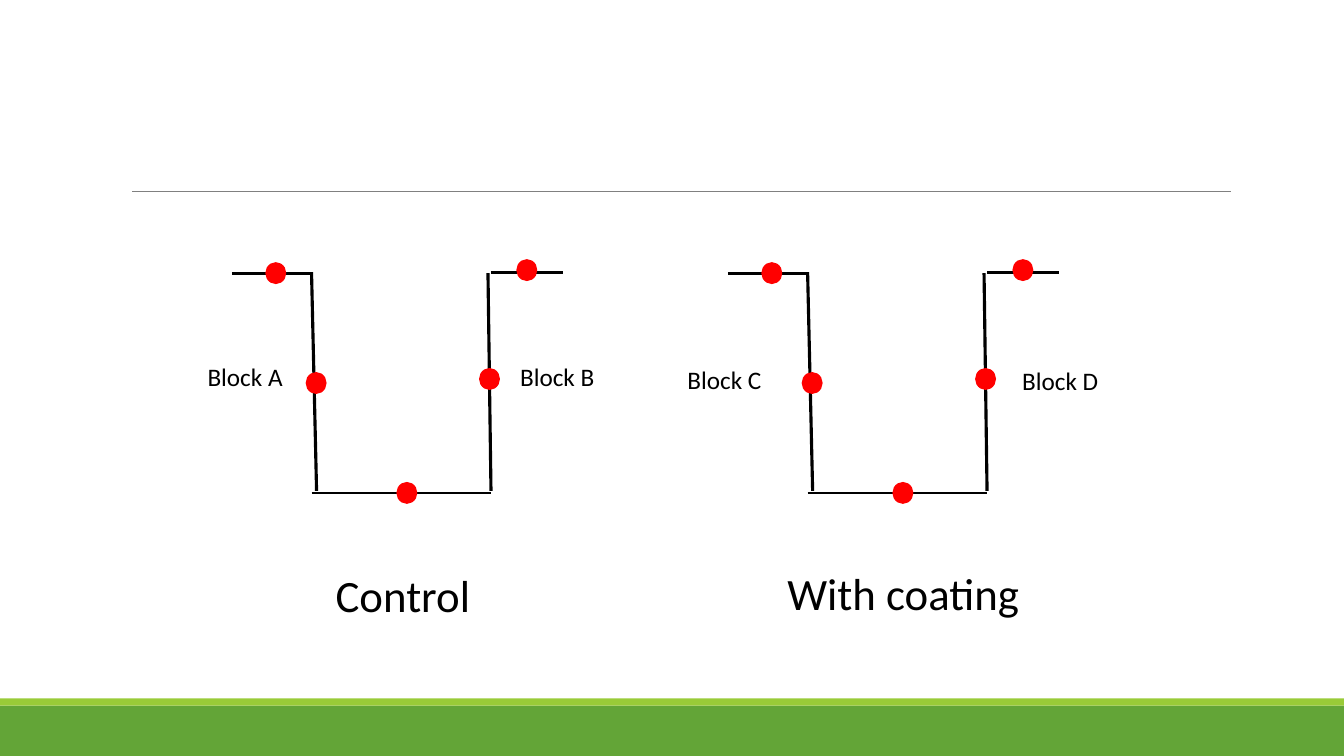
import pptx
import pptx.dml.color
import pptx.enum.shapes
import pptx.enum.text
import pptx.oxml.ns
import pptx.util
from lxml import etree

RGBColor = pptx.dml.color.RGBColor
Inches = pptx.util.Inches
SHAPES = pptx.enum.shapes.MSO_SHAPE

BLACK = RGBColor(0x00, 0x00, 0x00)
GREY = RGBColor(0x80, 0x80, 0x80)
RED = RGBColor(0xFF, 0x00, 0x00)
GREEN = RGBColor(0x63, 0xA5, 0x37)
LIME = RGBColor(0x99, 0xCB, 0x38)

SLIDE_WIDTH, SLIDE_HEIGHT = 13.33, 7.5

# Trench grid: columns and rows counted from the trench's top left corner.
CELL = 0.01
WALLS = [  # start, end, line width in points
    ((0, 13), (79, 13), 2.25),
    ((79, 12), (84, 229), 2.25),
    ((79, 231), (257, 231), 1),
    ((257, 229), (254, 13), 2.25),
    ((257, 12), (328, 12), 2.25),
]
SENSORS = [(34, 3), (246, 108), (74, 112), (164, 221), (283, 0)]
SENSOR_SIZE = (19, 20)
BLOCK_SIZE = (118, 40)

TRENCHES = [
    {"left": 2.3, "top": 2.58,
     "blocks": [("Block A", -34, 96), ("Block B", 276, 96)],
     "caption": ("Control", 93, 300, 268, 64)},
    {"left": 7.22, "top": 2.58,
     "blocks": [("Block C", -50, 99), ("Block D", 282, 100)],
     "caption": ("With coating", 49, 298, 278, 64)},
]


def add_line(slide, start, end, color, width):
    line = slide.shapes.add_connector(
        pptx.enum.shapes.MSO_CONNECTOR.STRAIGHT,
        *(Inches(value) for value in (*start, *end)))
    line.line.color.rgb = color
    line.line.width = pptx.util.Pt(width)
    properties = line._element.spPr
    etree.SubElement(properties, pptx.oxml.ns.qn("a:effectLst"))


def add_filled(slide, preset, box, color, outline=None):
    """Add a plain shape; outline is a width in points, or None for no line."""
    shape = slide.shapes.add_shape(preset, *(Inches(value) for value in box))
    shape.shadow.inherit = False
    shape.fill.solid()
    shape.fill.fore_color.rgb = color
    if outline is None:
        shape.line.fill.background()
    else:
        shape.line.color.rgb = color
        shape.line.width = pptx.util.Pt(outline)


def add_text(slide, text, box, size=18, color=BLACK, font="Calibri"):
    label = slide.shapes.add_textbox(*(Inches(value) for value in box))
    label.text_frame.word_wrap = True
    label.text_frame.auto_size = pptx.enum.text.MSO_AUTO_SIZE.SHAPE_TO_FIT_TEXT
    paragraph = label.text_frame.paragraphs[0]
    run = paragraph.add_run()
    run.text = text
    run.font.name = font
    run.font.size = pptx.util.Pt(size)
    run.font.color.rgb = color


def add_backdrop(slide, width, height):
    """Place the footer bands and the rule under the empty heading area."""
    footer_top = height * 14 / 15
    stripe = 0.07
    add_filled(slide, SHAPES.RECTANGLE,
               (0, footer_top, width, height - footer_top), GREEN)
    add_filled(slide, SHAPES.RECTANGLE,
               (0, footer_top - stripe, width, stripe), LIME)
    rule_top = 1.9
    add_line(slide, (1.31, rule_top), (12.21, rule_top), GREY, 0.5)


def add_trench(slide, left, top, blocks, caption):
    def point(column, row):
        return left + column * CELL, top + row * CELL

    def box(column, row, columns, rows):
        return (*point(column, row), columns * CELL, rows * CELL)

    for start, end, width in WALLS:
        add_line(slide, point(*start), point(*end), BLACK, width)
    for sensor in SENSORS:
        add_filled(slide, SHAPES.OVAL, box(*sensor, *SENSOR_SIZE), RED, 1.25)
    for name, column, row in blocks:
        add_text(slide, name, box(column, row, *BLOCK_SIZE))
    title, *place = caption
    add_text(slide, title, box(*place), size=32)


def main():
    deck = pptx.Presentation()
    deck.slide_width = Inches(SLIDE_WIDTH)
    deck.slide_height = Inches(SLIDE_HEIGHT)
    blank_layout = deck.slide_layouts[6]
    slide = deck.slides.add_slide(blank_layout)
    add_backdrop(slide, SLIDE_WIDTH, SLIDE_HEIGHT)
    for trench in TRENCHES:
        add_trench(slide, **trench)
    deck.save("out.pptx")


if __name__ == "__main__":
    main()
